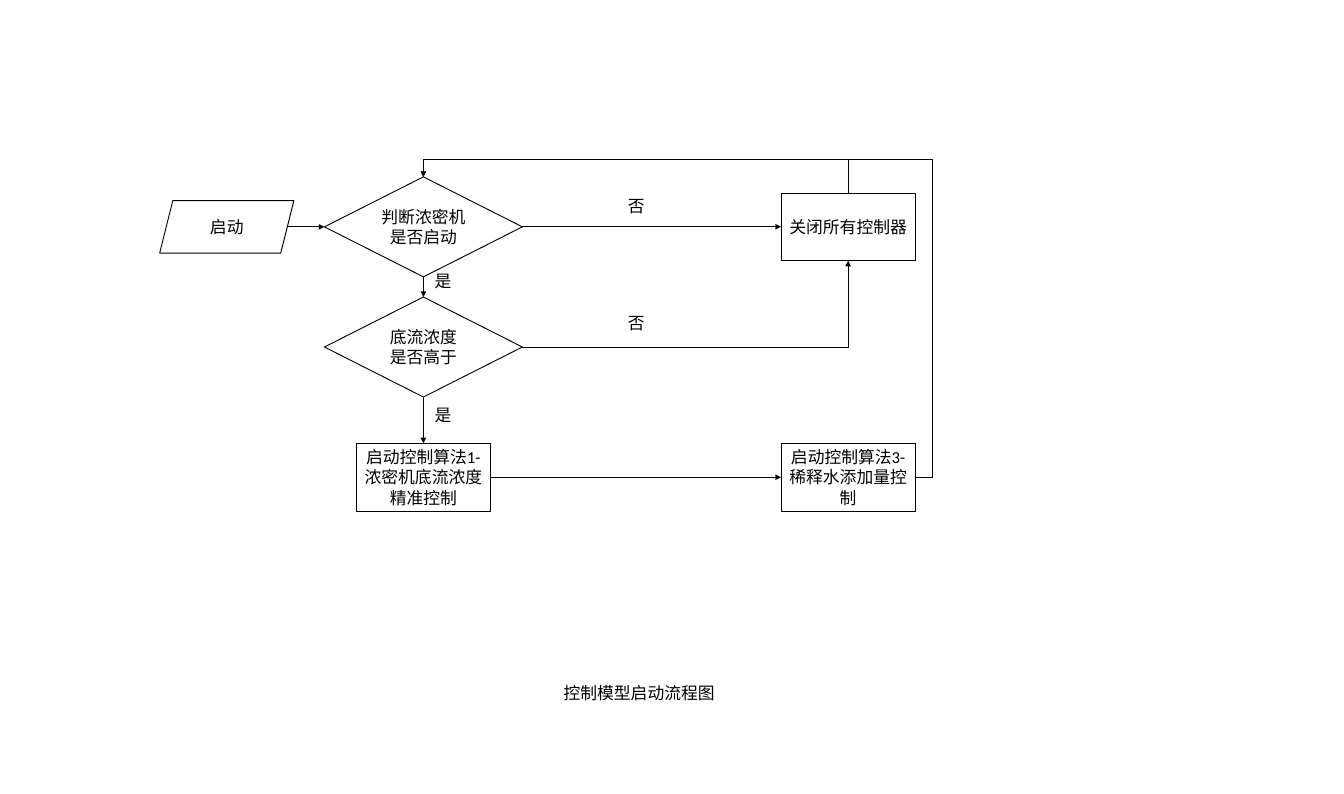
from pptx import Presentation
from pptx.dml.color import RGBColor
from pptx.enum.shapes import MSO_CONNECTOR, MSO_SHAPE
from pptx.enum.text import MSO_ANCHOR, PP_ALIGN
from pptx.oxml.ns import qn
from pptx.util import Inches, Pt
from lxml import etree

RECT, DIAMOND = MSO_SHAPE.RECTANGLE, MSO_SHAPE.DIAMOND
PARALLELOGRAM = MSO_SHAPE.PARALLELOGRAM
STRAIGHT, ELBOW = MSO_CONNECTOR.STRAIGHT, MSO_CONNECTOR.ELBOW
CENTER, LEFT = PP_ALIGN.CENTER, PP_ALIGN.LEFT
TOP, MIDDLE = MSO_ANCHOR.TOP, MSO_ANCHOR.MIDDLE
# Connection sites of rectangles and diamonds
SITE_TOP, SITE_LEFT, SITE_BOTTOM, SITE_RIGHT = range(4)

BLACK, WHITE = "000000", "FFFFFF"
FONT = "Calibri"

# Columns (centres) and rows (centres) of the flow
START_X, DECISION_X, CONTROL_X = 3.38, 6.31, 12.64
CHECK_Y, DENSITY_Y, ALGORITHM_Y = 3.38, 5.17, 7.11
RETURN_Y = 2.38   # height of the return lines
RETURN_GAP = 0.25  # distance of the outer return line from its box
DECISION_SIZE, BOX_SIZE, START_SIZE = (2.95, 1.49), (2, 1.01), (2, 0.78)


def color(hex_code):
    return RGBColor.from_string(hex_code)


def write(frame, text, size=18, align=CENTER, anchor=MIDDLE, ink=BLACK):
    frame.word_wrap = True
    frame.vertical_anchor = anchor
    paragraph = frame.paragraphs[0]
    paragraph.text = text
    paragraph.alignment = align
    paragraph.font.size = Pt(size)
    for run in paragraph.runs:
        run.font.name = FONT
        run.font.size = Pt(size)
        run.font.color.rgb = color(ink)


def add_step(slide, kind, center_x, center_y, size, text):
    width, height = size
    step = slide.shapes.add_shape(
        kind, Inches(center_x - width / 2), Inches(center_y - height / 2),
        Inches(width), Inches(height))
    step.shadow.inherit = False
    step.fill.solid()
    step.fill.fore_color.rgb = color(WHITE)
    step.line.color.rgb = color(BLACK)
    step.line.width = Pt(1)
    write(step.text_frame, text)
    return step


def add_label(slide, left, top, width, height, text, align=LEFT):
    label = slide.shapes.add_textbox(
        Inches(left), Inches(top), Inches(width), Inches(height))
    write(label.text_frame, text, align=align, anchor=TOP)


def add_arrow(slide, begin, end, kind=STRAIGHT, weight=1):
    arrow = slide.shapes.add_connector(kind, *map(Inches, begin + end))
    arrow.line.color.rgb = color(BLACK)
    arrow.line.width = Pt(weight)
    etree.SubElement(arrow.line._get_or_add_ln(), qn("a:tailEnd"), type="triangle")
    etree.SubElement(arrow._element.spPr, qn("a:effectLst"))
    return arrow


def link(slide, source, source_site, target, target_site):
    arrow = add_arrow(slide, (0, 0), (1, 1))
    arrow.begin_connect(source, source_site)
    arrow.end_connect(target, target_site)


def add_elbow(slide, begin, end, preset, *bends, upright=False):
    """Bends are shares of the extent; upright leaves the source vertically."""
    if upright:
        # Quarter turn about the centre, undone by the rotation below
        mid_x, mid_y = (begin[0] + end[0]) / 2, (begin[1] + end[1]) / 2
        begin, end = [(mid_x - (y - mid_y), mid_y + (x - mid_x))
                      for x, y in (begin, end)]
    elbow = add_arrow(slide, begin, end, ELBOW, weight=0.5)
    properties = elbow._element.spPr
    if upright:
        properties.find(qn("a:xfrm")).set("rot", str(270 * 60000))
    geometry = properties.find(qn("a:prstGeom"))
    geometry.set("prst", preset)
    guides = geometry.find(qn("a:avLst"))
    for number, share in enumerate(bends, 1):
        etree.SubElement(guides, qn("a:gd"), name=f"adj{number}",
                         fmla=f"val {round(share * 100000)}")


def main():
    deck = Presentation()
    deck.slide_width, deck.slide_height = Inches(20.03), Inches(11.83)
    slide = deck.slides.add_slide(deck.slide_layouts[6])

    # Steps
    density = add_step(slide, DIAMOND, DECISION_X, DENSITY_Y, DECISION_SIZE,
                       "底流浓度\v是否高于")
    precise = add_step(slide, RECT, DECISION_X, ALGORITHM_Y, BOX_SIZE,
                       "启动控制算法1-浓密机底流浓度精准控制")
    dilution = add_step(slide, RECT, CONTROL_X, ALGORITHM_Y, BOX_SIZE,
                        "启动控制算法3-稀释水添加量控制")
    running = add_step(slide, DIAMOND, DECISION_X, CHECK_Y, DECISION_SIZE,
                       "判断浓密机是否启动")
    add_step(slide, PARALLELOGRAM, START_X, CHECK_Y, START_SIZE, "启动")
    shutdown = add_step(slide, RECT, CONTROL_X, CHECK_Y, BOX_SIZE,
                        "关闭所有控制器")

    # Straight arrows
    decision_left = DECISION_X - DECISION_SIZE[0] / 2
    add_arrow(slide, (4.28, CHECK_Y), (decision_left, CHECK_Y))
    for upper, lower in ((running, density), (density, precise)):
        link(slide, upper, SITE_BOTTOM, lower, SITE_TOP)
    for source, target in ((running, shutdown), (precise, dilution)):
        link(slide, source, SITE_RIGHT, target, SITE_LEFT)

    # Elbow arrows: back to the first decision, and on to the shutdown
    decision_right = DECISION_X + DECISION_SIZE[0] / 2
    decision_top = CHECK_Y - DECISION_SIZE[1] / 2
    box_right = CONTROL_X + BOX_SIZE[0] / 2
    shutdown_top = CHECK_Y - BOX_SIZE[1] / 2
    shutdown_bottom = CHECK_Y + BOX_SIZE[1] / 2
    entry = (DECISION_X, decision_top)
    add_elbow(slide, (CONTROL_X, shutdown_top), entry, "bentConnector3",
              (shutdown_top - RETURN_Y) / (shutdown_top - decision_top),
              upright=True)
    add_elbow(slide, (box_right, ALGORITHM_Y), entry, "bentConnector4",
              -RETURN_GAP / (box_right - DECISION_X),
              (ALGORITHM_Y - RETURN_Y) / (ALGORITHM_Y - decision_top))
    add_elbow(slide, (decision_right, DENSITY_Y), (CONTROL_X, shutdown_bottom),
              "bentConnector2")

    # Answers and caption
    for left, top, answer in ((6.38, 3.98, "是"), (6.38, 5.98, "是"),
                              (9.26, 2.86, "否"), (9.26, 4.61, "否")):
        add_label(slide, left, top, 0.54, 0.56, answer)
    add_label(slide, 6.4, 10.12, 6.25, 0.4, "控制模型启动流程图", align=CENTER)

    deck.save("out.pptx")


main()
